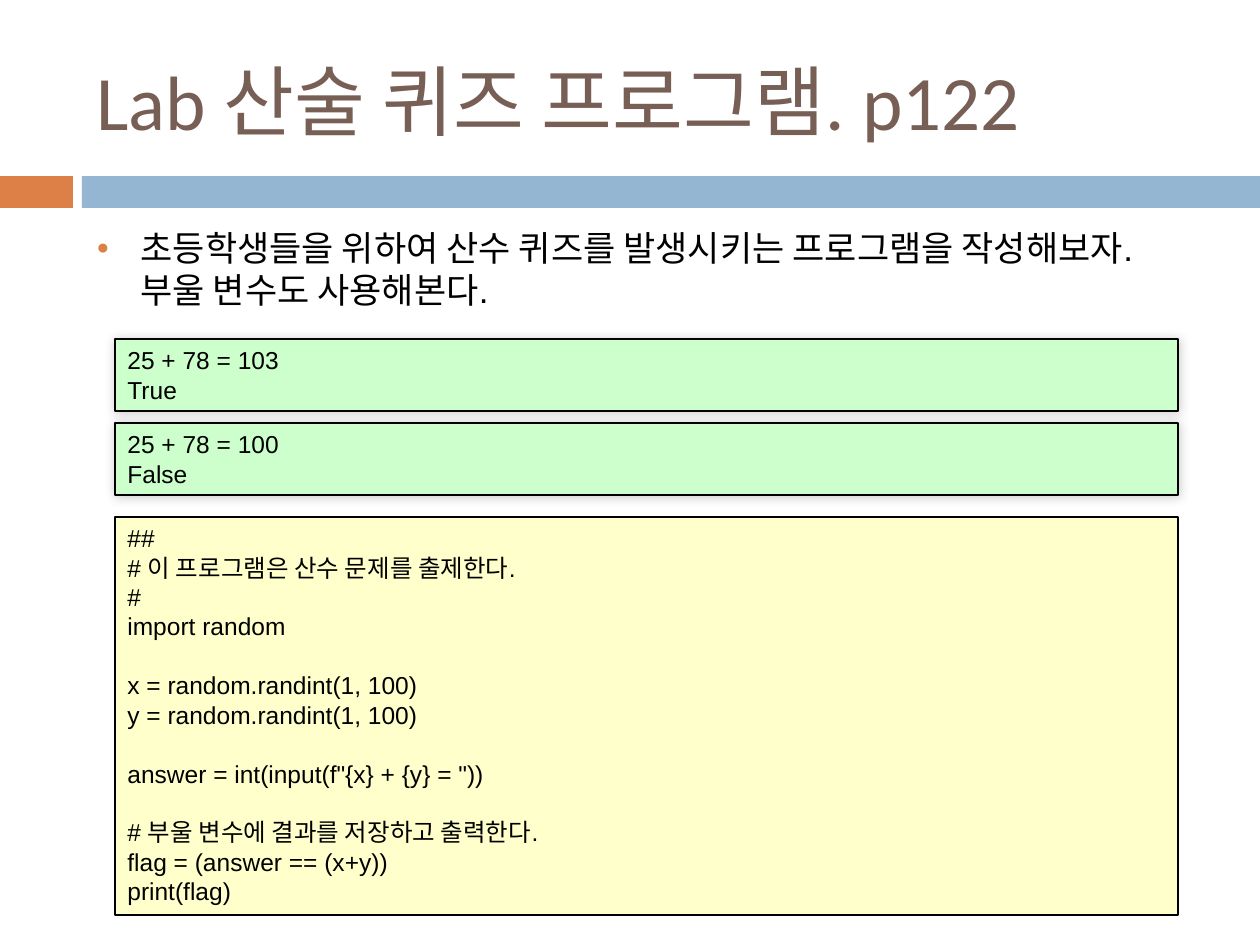
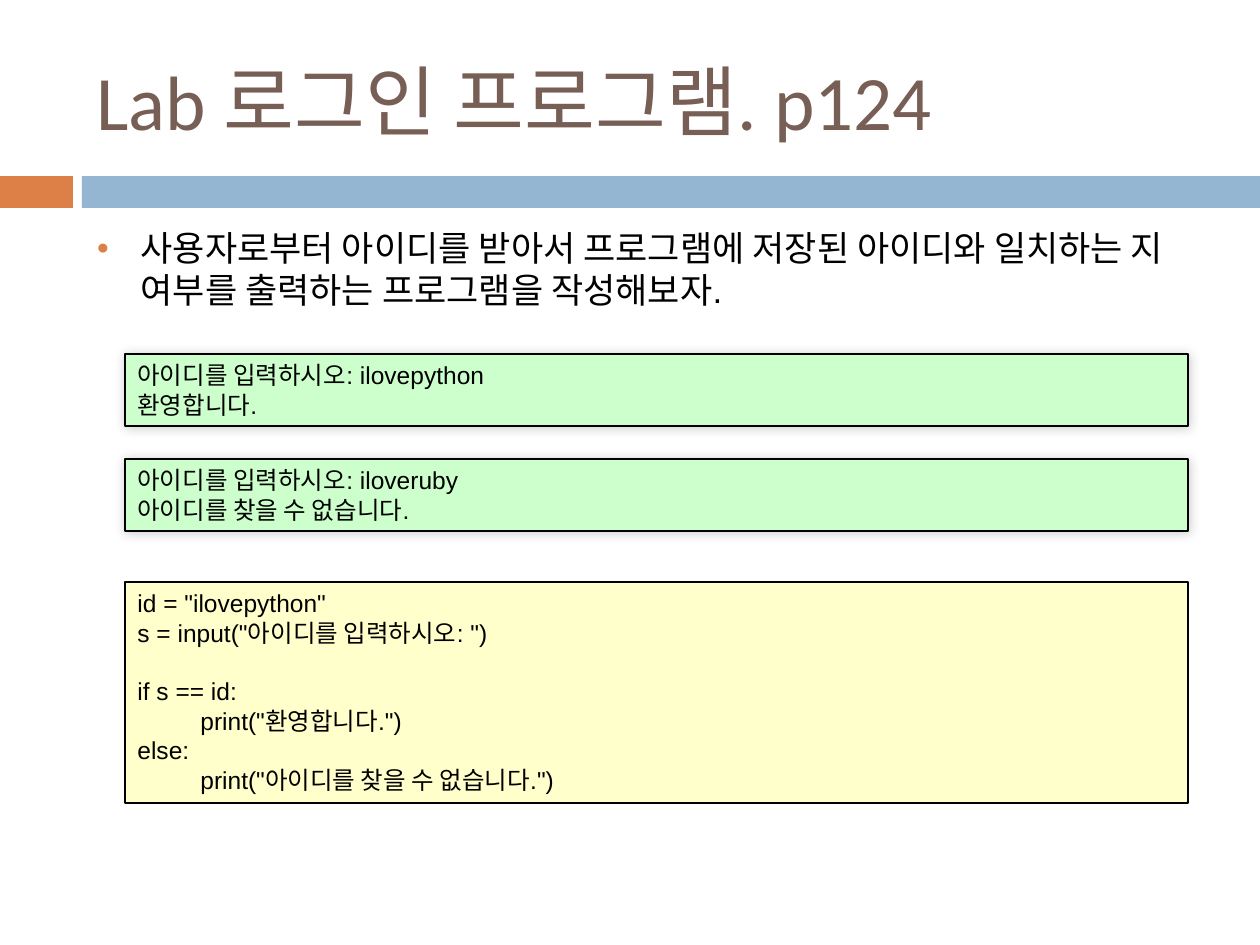
from dataclasses import dataclass

from lxml.etree import SubElement
from pptx import Presentation
from pptx.dml.color import RGBColor
from pptx.enum.shapes import MSO_SHAPE
from pptx.enum.text import MSO_ANCHOR, MSO_AUTO_SIZE, PP_ALIGN
from pptx.oxml.ns import qn
from pptx.util import Emu, Pt

PX_PER_INCH = 126
EMU_PER_PX = 914400 / PX_PER_INCH


@dataclass(frozen=True)
class Theme:
    accent: str = "DD8047"
    band: str = "94B6D2"
    title: str = "775F55"
    text: str = "000000"
    output: str = "CCFFCC"
    code: str = "FFFFCC"
    title_font: str = "Calibri"
    text_font: str = "Arial"
    title_size: int = 44
    body_size: int = 20
    code_size: int = 14
    line_height: float = 1.2


THEME = Theme()
TITLE_BOX = (84, 32, 1124, 136)
BODY_BOX = (84, 220, 1124, 620)
BANDS = [((0, 176, 73, 32), THEME.accent), ((82, 176, 1178, 32), THEME.band)]
BOX_WIDTH = 1063
OUTPUT_HEIGHT = 72

LABS = [
    {
        "title": "Lab 산술 퀴즈 프로그램. p122",
        "task": "초등학생들을 위하여 산수 퀴즈를 발생시키는 프로그램을 작성해보자. "
                "부울 변수도 사용해본다.",
        "left": 115,
        "outputs": [(339, "25 + 78 = 103\nTrue"), (423, "25 + 78 = 100\nFalse")],
        "code_top": 517,
        "code_height": 398,
        "code": """##
# 이 프로그램은 산수 문제를 출제한다.
#
import random

x = random.randint(1, 100)
y = random.randint(1, 100)

answer = int(input(f"{x} + {y} = "))

# 부울 변수에 결과를 저장하고 출력한다.
flag = (answer == (x+y))
print(flag)""",
    },
    {
        "title": "Lab 로그인 프로그램. p124",
        "task": "사용자로부터 아이디를 받아서 프로그램에 저장된 아이디와 일치하는 지 "
                "여부를 출력하는 프로그램을 작성해보자.",
        "left": 125,
        "outputs": [
            (354, "아이디를 입력하시오: ilovepython\n환영합니다."),
            (459, "아이디를 입력하시오: iloveruby\n아이디를 찾을 수 없습니다."),
        ],
        "code_top": 582,
        "code_height": 221,
        "code": """id = "ilovepython"
s = input("아이디를 입력하시오: ")

if s == id:
\tprint("환영합니다.")
else:
\tprint("아이디를 찾을 수 없습니다.")""",
    },
]


def px(length):
    return Emu(round(length * EMU_PER_PX))


def place(shape, box):
    shape.left, shape.top, shape.width, shape.height = map(px, box)


def write_text(shape, text, size, color=THEME.text, font=THEME.text_font,
               anchor=MSO_ANCHOR.TOP, line_height=None):
    """Write one paragraph per line; an empty line becomes space before the next."""
    frame = shape.text_frame
    frame.word_wrap = True
    frame.auto_size = MSO_AUTO_SIZE.NONE
    frame.vertical_anchor = anchor
    paragraph = None
    gap = 0
    for line in text.split("\n"):
        if not line:
            gap += size * THEME.line_height
            continue
        paragraph = frame.add_paragraph() if paragraph else frame.paragraphs[0]
        paragraph.alignment = PP_ALIGN.LEFT
        paragraph.space_before = Pt(gap)
        if line_height:
            paragraph.line_spacing = Pt(size * line_height)
        run = paragraph.add_run()
        run.text = line
        run.font.size = Pt(size)
        run.font.name = font
        run.font.color.rgb = RGBColor.from_string(color)
        gap = 0


def add_rectangle(slide, box, fill, outlined=False):
    shape = slide.shapes.add_shape(MSO_SHAPE.RECTANGLE, *map(px, box))
    shape.shadow.inherit = False
    shape.fill.solid()
    shape.fill.fore_color.rgb = RGBColor.from_string(fill)
    if outlined:
        shape.line.color.rgb = RGBColor.from_string(THEME.text)
        shape.line.width = Pt(0.75)
    else:
        shape.line.fill.background()
    return shape


def add_soft_shadow(shape):
    effects = shape.element.spPr.find(qn("a:effectLst"))
    shadow = SubElement(effects, qn("a:outerShdw"), blurRad=str(Pt(6)),
                        dist="0", dir="18900000", algn="ctr", rotWithShape="0")
    color = SubElement(shadow, qn("a:srgbClr"), val=THEME.text)
    SubElement(color, qn("a:alpha"), val="20000")


def add_text_box(slide, box, fill, text):
    shape = add_rectangle(slide, box, fill, outlined=True)
    write_text(shape, text, THEME.code_size, line_height=THEME.line_height)
    return shape


def set_bullet(paragraph):
    paragraph.space_before = Pt(7)
    properties = paragraph._p.get_or_add_pPr()
    indent = px(44)
    properties.set("marL", str(indent))
    properties.set("indent", str(-indent))
    color = SubElement(properties, qn("a:buClr"))
    SubElement(color, qn("a:srgbClr"), val=THEME.accent)
    SubElement(properties, qn("a:buSzPct"), val="60000")
    SubElement(properties, qn("a:buFont"), typeface=THEME.text_font)
    SubElement(properties, qn("a:buChar"), char="●")


def prepare_layout(layout, slide):
    """Place the layout's title and body, and move the bands drawn on slide to it."""
    title, body = list(layout.placeholders)[:2]
    place(title, TITLE_BOX)
    place(body, BODY_BOX)
    for number, (box, color) in enumerate(BANDS, start=20):
        band = add_rectangle(slide, box, color)
        band.element.nvSpPr.cNvPr.set("id", str(number))
        layout.shapes.element.append(band.element)


def fill_slide(slide, lab):
    title, body = slide.placeholders
    write_text(title, lab["title"], THEME.title_size, color=THEME.title,
               font=THEME.title_font, anchor=MSO_ANCHOR.MIDDLE)
    write_text(body, lab["task"], THEME.body_size, line_height=THEME.line_height)
    set_bullet(body.text_frame.paragraphs[0])
    for top, output in lab["outputs"]:
        box = (lab["left"], top, BOX_WIDTH, OUTPUT_HEIGHT)
        add_soft_shadow(add_text_box(slide, box, THEME.output, output))
    code_box = (lab["left"], lab["code_top"], BOX_WIDTH, lab["code_height"])
    add_text_box(slide, code_box, THEME.code, lab["code"])


def main():
    presentation = Presentation()
    presentation.slide_width = px(1260)
    presentation.slide_height = px(945)
    layout = presentation.slide_layouts[1]
    slides = [presentation.slides.add_slide(layout) for _ in LABS]
    prepare_layout(layout, slides[0])
    for slide, lab in zip(slides, LABS):
        fill_slide(slide, lab)
    presentation.save("out.pptx")


if __name__ == "__main__":
    main()
